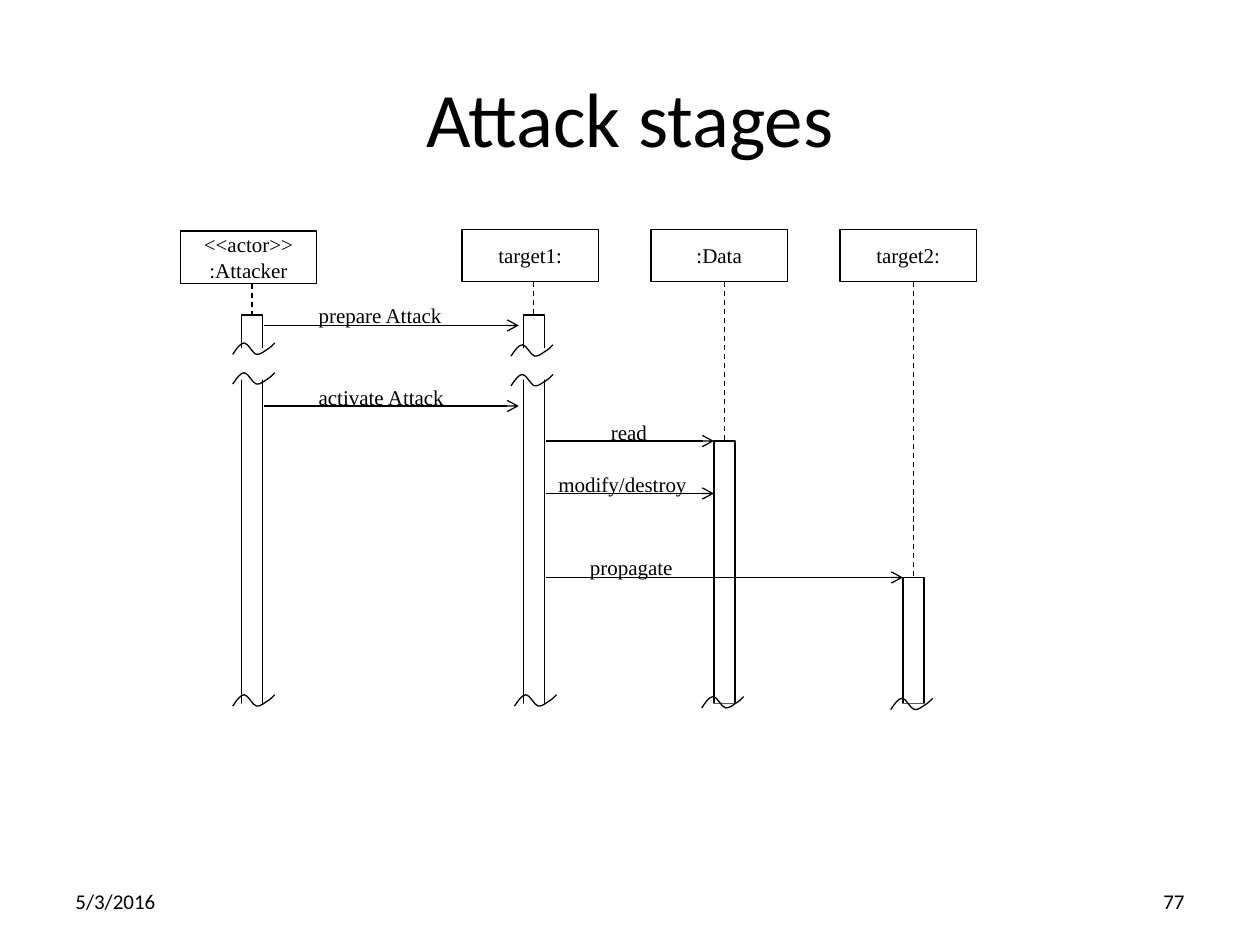
from dataclasses import dataclass

from lxml import etree
from pptx import Presentation
from pptx.dml.color import RGBColor
from pptx.enum.dml import MSO_LINE
from pptx.enum.shapes import MSO_CONNECTOR, MSO_SHAPE
from pptx.enum.text import MSO_ANCHOR, PP_ALIGN
from pptx.oxml.ns import qn
from pptx.shapes.autoshape import Shape
from pptx.shapes.connector import Connector
from pptx.slide import Slide
from pptx.util import Pt

DASH = MSO_LINE.DASH
STRAIGHT = MSO_CONNECTOR.STRAIGHT
RECTANGLE = MSO_SHAPE.RECTANGLE
TOP, MIDDLE = MSO_ANCHOR.TOP, MSO_ANCHOR.MIDDLE
LEFT, CENTER, RIGHT = PP_ALIGN.LEFT, PP_ALIGN.CENTER, PP_ALIGN.RIGHT
TOP_SIDE = 0


@dataclass(frozen=True)
class Theme:
    ink: RGBColor = RGBColor(0, 0, 0)
    paper: RGBColor = RGBColor(255, 255, 255)
    slide_font: str = "Calibri"
    diagram_font: str = "Times New Roman"
    title_size: float = 44
    body_size: float = 12
    line_width: float = 0.75


@dataclass(frozen=True)
class Participant:
    name: str
    left: float
    top: float
    bar_left: float
    bar_top: float
    bar_height: float


@dataclass(frozen=True)
class Message:
    text: str
    start: float
    end: float
    y: float
    label_left: float
    label_top: float


THEME = Theme()
BOX_WIDTH, BOX_HEIGHT, BAR_WIDTH = 78, 30, 12
LABEL_WIDTH, LABEL_HEIGHT = 107, 21.5

PARTICIPANTS = [
    Participant("<<actor>>\n:Attacker", 103, 132, 138, 180, 24),
    Participant("target1:", 264, 131, 299, 180, 24),
    Participant(":Data", 372, 131, 408, 252, 150),
    Participant("target2:", 480, 131, 516, 330, 72),
]
RESUMED_BAR_TOP, RESUMED_BAR_HEIGHT = 216, 198

MESSAGES = [
    Message("prepare Attack", 151, 296.5, 186, 175, 169.5),
    Message("activate Attack", 151, 296.5, 232, 175, 216),
    Message("read", 312, 408, 252, 342, 236),
    Message("modify/destroy", 312, 408, 282, 312, 266),
    Message("propagate", 312, 516, 330, 330, 313.25),
]

# White areas that open the bars: left, top, width, height
GAPS = [(114, 199, 66, 18), (270, 199, 66, 18), (132, 402, 402, 18)]

# Break marks: left and top of each wave
WAVES = [(133, 196), (133, 213), (292, 197), (292, 214),
         (133, 397), (294, 397), (401, 398), (509, 399)]

# Bezier control points of one wave; neighbouring segments share an end
WAVE_CURVE = [(0, 6.5), (2.2, 3.2), (4.4, 0), (6.6, 0),
              (8.8, 0), (11.2, 6), (13.6, 6.5),
              (15.8, 7), (18.8, 4), (20.5, 3.2),
              (22.3, 1.8), (23, 1.1), (24, 0)]


def set_text(shape: Shape, text: str, font: str, size: float,
             align: PP_ALIGN, anchor: MSO_ANCHOR, wrap: bool = True) -> None:
    frame = shape.text_frame
    frame.text = text
    frame.word_wrap = wrap
    frame.vertical_anchor = anchor
    for paragraph in frame.paragraphs:
        paragraph.alignment = align
        for run in paragraph.runs:
            run.font.name = font
            run.font.size = Pt(size)
            run.font.color.rgb = THEME.ink


def add_text(slide: Slide, text: str, left: float, top: float, width: float,
             height: float, font: str, size: float,
             align: PP_ALIGN = LEFT, anchor: MSO_ANCHOR = MIDDLE) -> None:
    box = slide.shapes.add_textbox(Pt(left), Pt(top), Pt(width), Pt(height))
    set_text(box, text, font, size, align, anchor)


def set_line(shape: Shape | Connector) -> None:
    shape.line.color.rgb = THEME.ink
    shape.line.width = Pt(THEME.line_width)


def add_rectangle(slide: Slide, left: float, top: float, width: float,
                  height: float, outlined: bool = True) -> Shape:
    shape = slide.shapes.add_shape(RECTANGLE, Pt(left), Pt(top), Pt(width), Pt(height))
    shape.shadow.inherit = False
    shape.fill.solid()
    shape.fill.fore_color.rgb = THEME.paper
    if outlined:
        set_line(shape)
    else:
        shape.line.fill.background()
    return shape


def add_line(slide: Slide, x1: float, y1: float, x2: float, y2: float) -> Connector:
    line = slide.shapes.add_connector(STRAIGHT, Pt(x1), Pt(y1), Pt(x2), Pt(y2))
    set_line(line)
    etree.SubElement(line.element.spPr, qn("a:effectLst"))
    return line


def add_participant(slide: Slide, item: Participant) -> None:
    box = add_rectangle(slide, item.left, item.top, BOX_WIDTH, BOX_HEIGHT)
    set_text(box, item.name, THEME.diagram_font, THEME.body_size, CENTER, MIDDLE, False)
    bar = add_rectangle(slide, item.bar_left, item.bar_top, BAR_WIDTH, item.bar_height)
    x = item.bar_left + BAR_WIDTH / 2
    lifeline = add_line(slide, x, item.top + BOX_HEIGHT, x, item.bar_top)
    lifeline.line.dash_style = DASH
    lifeline.end_connect(bar, TOP_SIDE)


def add_message(slide: Slide, item: Message) -> None:
    arrow = add_line(slide, item.start, item.y, item.end, item.y)
    outline = arrow.element.spPr.find(qn("a:ln"))
    etree.SubElement(outline, qn("a:tailEnd"), type="arrow")
    add_text(slide, item.text, item.label_left, item.label_top, LABEL_WIDTH,
             LABEL_HEIGHT, THEME.diagram_font, THEME.body_size, anchor=TOP)


def curve_segments(shape: Shape) -> None:
    """Join each three line segments into one Bezier segment."""
    segments = list(shape.element.iter(qn("a:lnTo")))
    for first in range(0, len(segments), 3):
        group = segments[first:first + 3]
        curve = etree.Element(qn("a:cubicBezTo"))
        group[0].addprevious(curve)
        for segment in group:
            curve.append(segment[0])
            segment.getparent().remove(segment)


def add_wave(slide: Slide, left: float, top: float) -> None:
    points = [(Pt(left + x), Pt(top + y)) for x, y in WAVE_CURVE]
    builder = slide.shapes.build_freeform(*points[0])
    builder.add_line_segments(points[1:], close=False)
    wave = builder.convert_to_shape()
    curve_segments(wave)
    wave.shadow.inherit = False
    wave.fill.background()
    set_line(wave)


def main() -> None:
    presentation = Presentation()
    presentation.slide_width, presentation.slide_height = Pt(720), Pt(540)
    slide = presentation.slides.add_slide(presentation.slide_layouts[6])

    # Title and footer
    add_text(slide, "Attack stages", 36, 21.6, 648, 90,
             THEME.slide_font, THEME.title_size, CENTER)
    add_text(slide, "5/3/2016", 36, 500.5, 168, 28.75, THEME.slide_font, THEME.body_size)
    add_text(slide, "77", 516, 500.5, 168, 28.75,
             THEME.slide_font, THEME.body_size, RIGHT)

    # Participants, with the first two bars resumed after the break
    for participant in PARTICIPANTS:
        add_participant(slide, participant)
    for participant in PARTICIPANTS[:2]:
        add_rectangle(slide, participant.bar_left, RESUMED_BAR_TOP,
                      BAR_WIDTH, RESUMED_BAR_HEIGHT)

    # Breaks in the bars
    for gap in GAPS:
        add_rectangle(slide, *gap, outlined=False)
    for wave in WAVES:
        add_wave(slide, *wave)

    # Messages
    for message in MESSAGES:
        add_message(slide, message)

    presentation.save("out.pptx")


if __name__ == "__main__":
    main()
